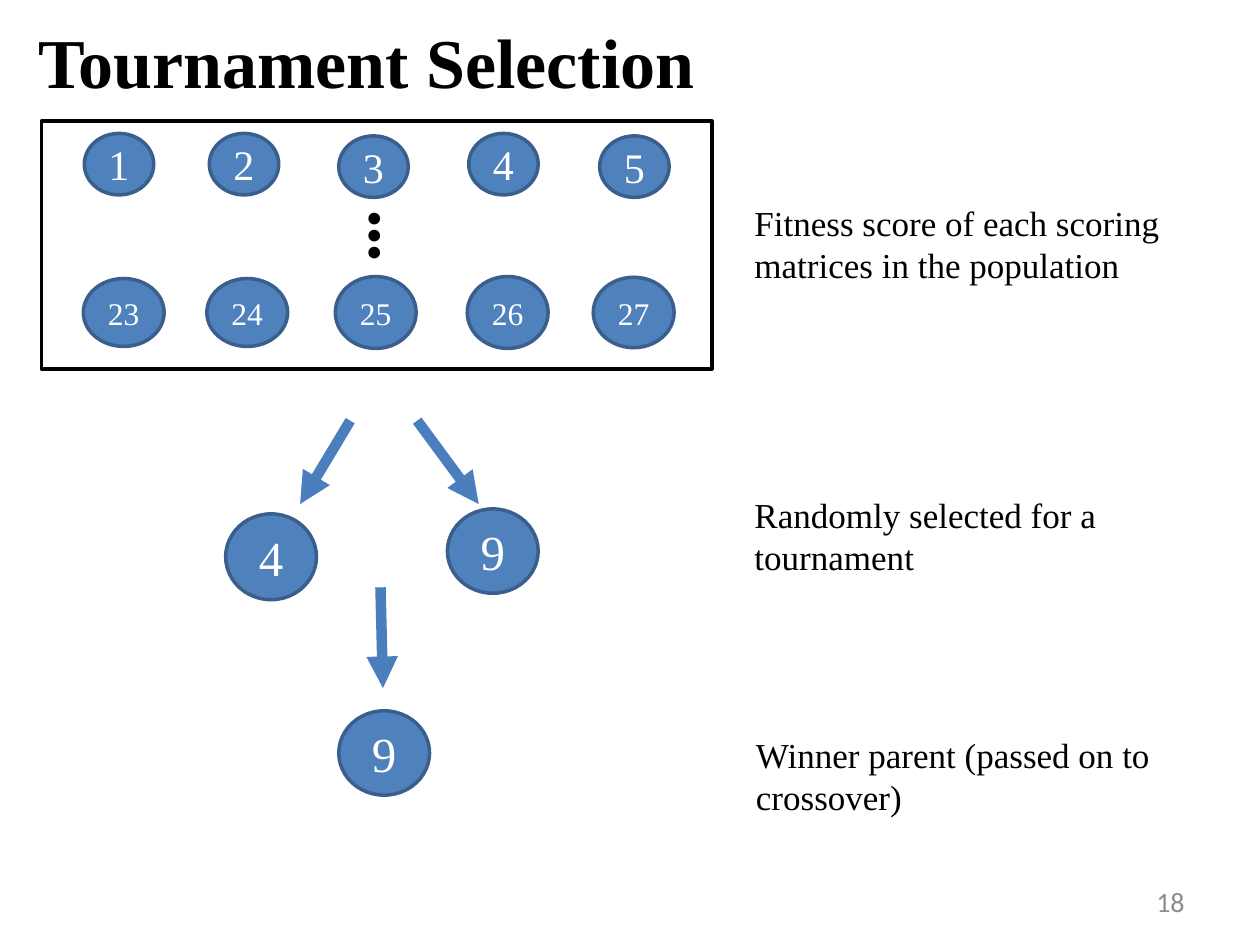
from dataclasses import dataclass

import lxml.etree
import pptx
import pptx.dml.color
import pptx.enum.shapes
import pptx.enum.text
import pptx.oxml.ns
import pptx.util

Cm = pptx.util.Cm
Pt = pptx.util.Pt
Align = pptx.enum.text.PP_ALIGN
Anchor = pptx.enum.text.MSO_ANCHOR
Kind = pptx.enum.shapes.MSO_SHAPE

SERIF = "Times New Roman"
BLACK, WHITE = "000000", "FFFFFF"
BLUE, EDGE, ARROW = "4F81BD", "3A5F8C", "4B7EBC"


@dataclass
class Ball:
    label: str
    left: float
    top: float
    width: float
    height: float
    size: int


@dataclass
class Arrow:
    start: tuple[float, float]
    end: tuple[float, float]


@dataclass
class Note:
    text: str
    left: float
    top: float


TOP_ROW = [
    Ball(str(num), left, top, 1.4, 1.24, 24)
    for num, left, top in zip(
        range(1, 6),
        (1.7, 4.22, 6.83, 9.45, 12.09),
        (2.69, 2.69, 2.74, 2.69, 2.74),
    )
]
LOW_ROW = [
    Ball(str(num), left, 6.3 - height / 2, 1.63, height, 18)
    for num, left, height in zip(
        range(23, 28),
        (1.68, 4.17, 6.76, 9.42, 11.96),
        (1.37, 1.37, 1.45, 1.45, 1.42),
    )
]
PICKS = [
    Ball("4", 4.55, 10.36, 1.83, 1.73, 28),
    Ball("9", 9.02, 10.26, 1.83, 1.7, 28),
    Ball("9", 6.83, 14.33, 1.83, 1.7, 28),
]
ARROWS = [
    Arrow((7.06, 8.48), (6.05, 10.16)),
    Arrow((8.41, 8.48), (9.65, 10.16)),
    Arrow((7.67, 11.84), (7.72, 13.87)),
]
NOTES = [
    Note("Fitness score of each scoring matrices in the population", 14.96, 3.94),
    Note("Randomly selected for a tournament", 14.96, 9.83),
    Note("Winner parent (passed on to crossover)", 14.99, 14.66),
]


def paint(form, tint: str) -> None:
    if hasattr(form, "solid"):
        form.solid()
        form = form.fore_color
    form.rgb = pptx.dml.color.RGBColor.from_string(tint)


def write(shape, text: str, *, size: int, tint: str = BLACK, font: str = SERIF,
          bold: bool = False, align=Align.LEFT, anchor=Anchor.TOP,
          wrap: bool = True) -> None:
    frame = shape.text_frame
    frame.word_wrap = wrap
    frame.vertical_anchor = anchor
    para = frame.paragraphs[0]
    para.alignment = align
    run = para.add_run()
    run.text = text
    run.font.size = Pt(size)
    run.font.name = font
    run.font.bold = bold
    paint(run.font.color, tint)


def draw_shape(slide, kind, left: float, top: float, width: float,
               height: float, fill: str, edge: str):
    shape = slide.shapes.add_shape(kind, Cm(left), Cm(top), Cm(width), Cm(height))
    shape.shadow.inherit = False
    paint(shape.fill, fill)
    paint(shape.line.color, edge)
    shape.line.width = Pt(2)
    return shape


def draw_ball(slide, ball: Ball) -> None:
    shape = draw_shape(slide, Kind.OVAL, ball.left, ball.top, ball.width,
                       ball.height, BLUE, EDGE)
    write(shape, ball.label, size=ball.size, tint=WHITE, align=Align.CENTER,
          anchor=Anchor.MIDDLE, wrap=False)


def draw_arrow(slide, arrow: Arrow) -> None:
    ends = [Cm(val) for val in arrow.start + arrow.end]
    line = slide.shapes.add_connector(
        pptx.enum.shapes.MSO_CONNECTOR.STRAIGHT, *ends)
    paint(line.line.color, ARROW)
    line.line.width = Pt(6)
    qn = pptx.oxml.ns.qn
    props = line._element.spPr
    tail = lxml.etree.SubElement(props.find(qn("a:ln")), qn("a:tailEnd"))
    tail.set("type", "triangle")
    lxml.etree.SubElement(props, qn("a:effectLst"))


def add_box(slide, left: float, top: float, width: float, height: float):
    return slide.shapes.add_textbox(Cm(left), Cm(top), Cm(width), Cm(height))


def main() -> None:
    deck = pptx.Presentation()
    deck.slide_width, deck.slide_height = Cm(25.4), Cm(19.05)
    slide = deck.slides.add_slide(deck.slide_layouts[6])

    draw_shape(slide, Kind.RECTANGLE, 0.84, 2.44, 13.51, 5, WHITE, BLACK)
    write(add_box(slide, 0.53, 0.25, 24.33, 1.96), "Tournament Selection",
          size=40, bold=True)
    for ball in TOP_ROW + LOW_ROW + PICKS:
        draw_ball(slide, ball)
    for arrow in ARROWS:
        draw_arrow(slide, arrow)
    for note in NOTES:
        write(add_box(slide, note.left, note.top, 9.78, 1.96), note.text, size=20)

    dots = add_box(slide, 6.83, 4.04, 1.55, 1.45)
    dots.rotation = 90
    write(dots, "•••", size=28, align=Align.CENTER, wrap=False)
    write(add_box(slide, 18.21, 17.65, 5.92, 1.02), "18", size=16, tint="8C8C8C",
          font="Calibri", align=Align.RIGHT, anchor=Anchor.MIDDLE)
    deck.save("out.pptx")


if __name__ == "__main__":
    main()
